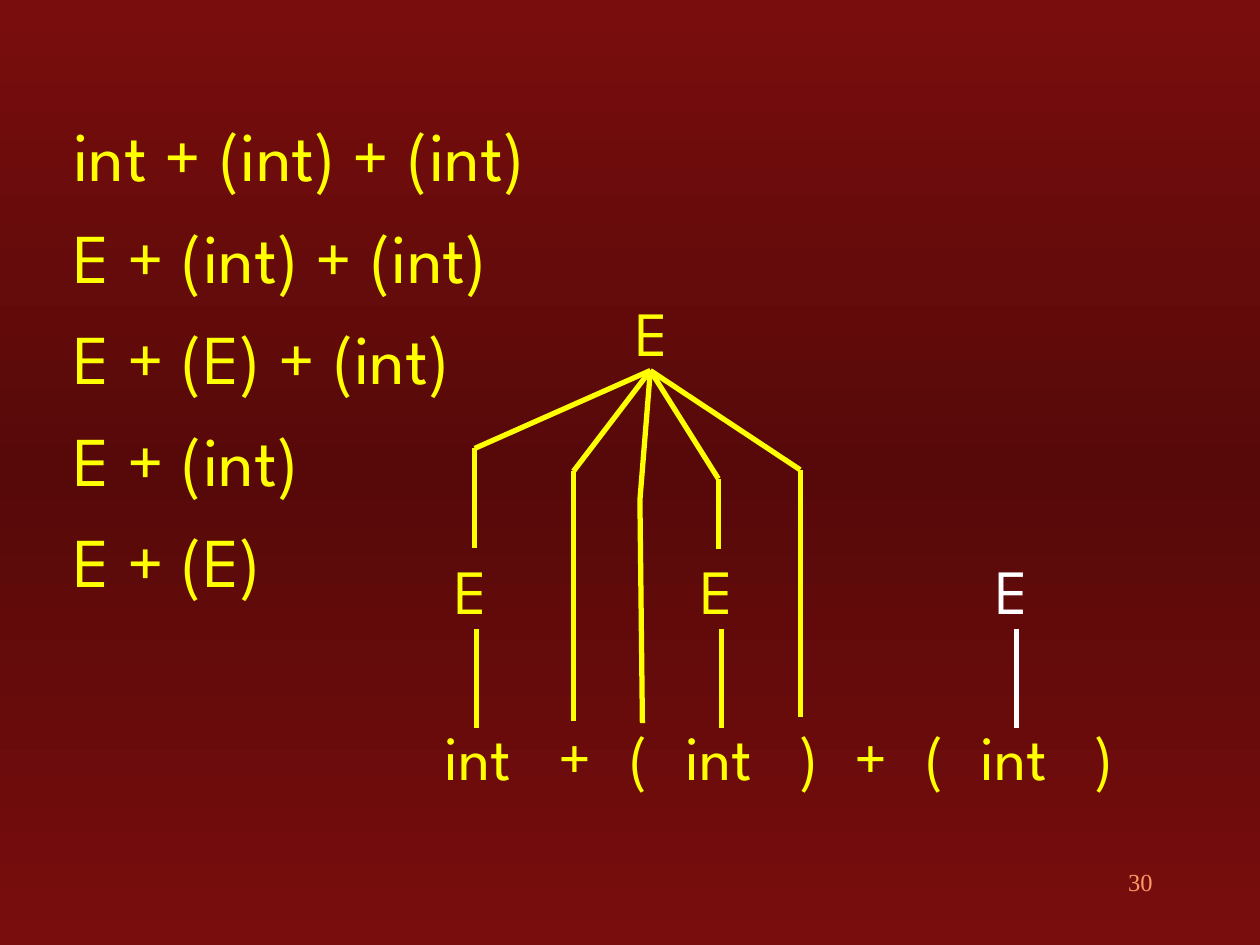
from copy import deepcopy

from lxml.etree import SubElement
from pptx import Presentation
from pptx.dml.color import RGBColor
from pptx.enum.shapes import MSO_CONNECTOR as Connector
from pptx.enum.text import MSO_ANCHOR as Anchor, MSO_AUTO_SIZE as AutoSize, PP_ALIGN as Align
from pptx.oxml.ns import qn
from pptx.util import Cm, Pt

YELLOW = RGBColor(0xFF, 0xFF, 0x00)
WHITE = RGBColor(0xFF, 0xFF, 0xFF)
ORANGE = RGBColor(0xFF, 0x99, 0x66)
RED = RGBColor(0x79, 0x0D, 0x0D)
DARK_RED = RGBColor(0x57, 0x09, 0x09)

STEP_FORMAT = {"name": "League Spartan", "size": Pt(40)}
NODE_FORMAT = {"name": "League Spartan", "size": Pt(36)}
NUMBER_FORMAT = {"name": "Times New Roman", "size": Pt(14)}

STEPS = ["int + (int) + (int)", "E + (int) + (int)", "E + (E) + (int)", "E + (int)", "E + (E)"]
TOKENS = ["int", "+", "(", "int", ")", "+", "(", "int", ")"]
TOKEN_WIDTHS = {"int": 2.08, "+": 1.22, "(": 0.89, ")": 0.89}  # cm
TOKEN_GAP = 0.22
NODE_WIDTH, NODE_HEIGHT = 1.22, 1.78

# Tree measures in cm, relative to the tree's box
TOKEN_ROW, NODE_ROW = 8.54, 5.21
ROOT_LEFT = 3.86
APEX = (4.4, 1.68)
NODES = [(0.21, YELLOW), (5.16, YELLOW), (11.1, WHITE)]
STEM_INSET, STEM_TOP, STEM_BOTTOM = 0.68, 6.88, 8.89
BRANCHES = [  # elbow, foot
    ((0.86, 3.25), (0.86, 5.26)),
    ((2.85, 3.71), (2.85, 8.74)),
    ((4.19, 4.29), (4.24, 8.79)),
    ((5.77, 3.86), (5.77, 5.28)),
    ((7.42, 3.68), (7.42, 8.66)),
]


def format_font(paragraph, values, color):
    for key, value in values.items():
        setattr(paragraph.font, key, value)
    paragraph.font.color.rgb = color


def paint_background(slide):
    fill = slide.background.fill
    fill.gradient()
    fill.gradient_angle = 90
    stops = next(slide.element.iter(qn("a:gsLst")))
    stops.insert(1, deepcopy(stops[0]))
    for stop, position, color in zip(fill.gradient_stops, (0, 0.5, 1), (RED, DARK_RED, RED)):
        stop.position = position
        stop.color.rgb = color


def add_label(slide, left, top, width, height, text, values, color, wrap=False):
    label = slide.shapes.add_textbox(Cm(left), Cm(top), Cm(width), Cm(height))
    frame = label.text_frame
    frame.word_wrap = wrap
    frame.auto_size = AutoSize.NONE if wrap else AutoSize.SHAPE_TO_FIT_TEXT
    paragraph = frame.paragraphs[0]
    paragraph.text = text
    format_font(paragraph, values, color)
    return paragraph


def place_steps(slide, left, top, width, height):
    body = slide.placeholders[1]
    box = {"left": left, "top": top, "width": width, "height": height}
    for key, value in box.items():
        setattr(body, key, Cm(value))
    frame = body.text_frame
    frame.auto_size = AutoSize.NONE
    frame.vertical_anchor = Anchor.TOP
    for index, step in enumerate(STEPS):
        paragraph = frame.add_paragraph() if index else frame.paragraphs[0]
        paragraph.text = step
        properties = paragraph._p.get_or_add_pPr()
        properties.set("marL", str(Cm(1.3)))
        properties.set("indent", str(-Cm(1.3)))
        SubElement(properties, qn("a:buNone"))
        paragraph.space_before = Pt(10 if index else 0)
        format_font(paragraph, STEP_FORMAT, YELLOW)


def draw_tree(slide, left, top):
    def add_line(start, end, color=YELLOW):
        line = slide.shapes.add_connector(
            Connector.STRAIGHT, Cm(left + start[0]), Cm(top + start[1]),
            Cm(left + end[0]), Cm(top + end[1]))
        line.line.color.rgb = color
        line.line.width = Pt(3)
        SubElement(line._element.spPr, qn("a:effectLst"))

    def add_node(x, y, text, color=YELLOW, width=NODE_WIDTH):
        add_label(slide, left + x, top + y, width, NODE_HEIGHT, text, NODE_FORMAT, color)

    # Token row
    x = 0
    for token in TOKENS:
        add_node(x, TOKEN_ROW, token, width=TOKEN_WIDTHS[token])
        x += TOKEN_WIDTHS[token] + TOKEN_GAP

    # Reduced nodes with their stems
    for node_left, color in NODES:
        stem = node_left + STEM_INSET
        add_line((stem, STEM_TOP), (stem, STEM_BOTTOM), color)
        add_node(node_left, NODE_ROW, "E", color)

    # Root and its branches
    add_node(ROOT_LEFT, 0, "E")
    for elbow, foot in BRANCHES:
        add_line(elbow, foot)
        add_line(APEX, elbow)


def place_number(slide, left, top, width, height):
    number = add_label(slide, left, top, width, height, "30", NUMBER_FORMAT, ORANGE, wrap=True)
    number.alignment = Align.RIGHT


def main():
    deck = Presentation()
    deck.slide_width, deck.slide_height = Cm(25.4), Cm(19.05)
    slide = deck.slides.add_slide(deck.slide_layouts[1])
    title = slide.shapes.title.element
    title.getparent().remove(title)
    paint_background(slide)
    place_steps(slide, 1.22, 2.13, 11.05, 12.22)
    draw_tree(slide, 8.71, 5.79)
    place_number(slide, 18.21, 17.35, 5.28, 1.27)
    deck.save("out.pptx")


if __name__ == "__main__":
    main()
